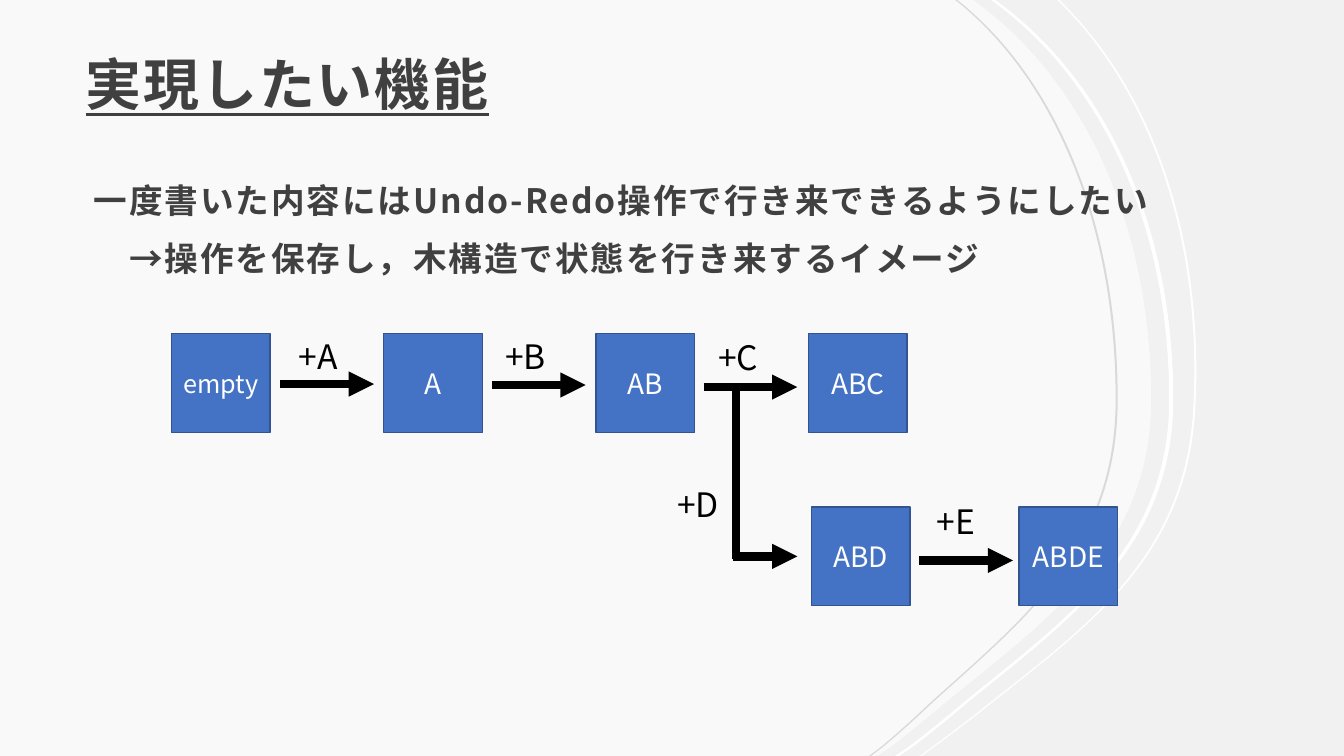
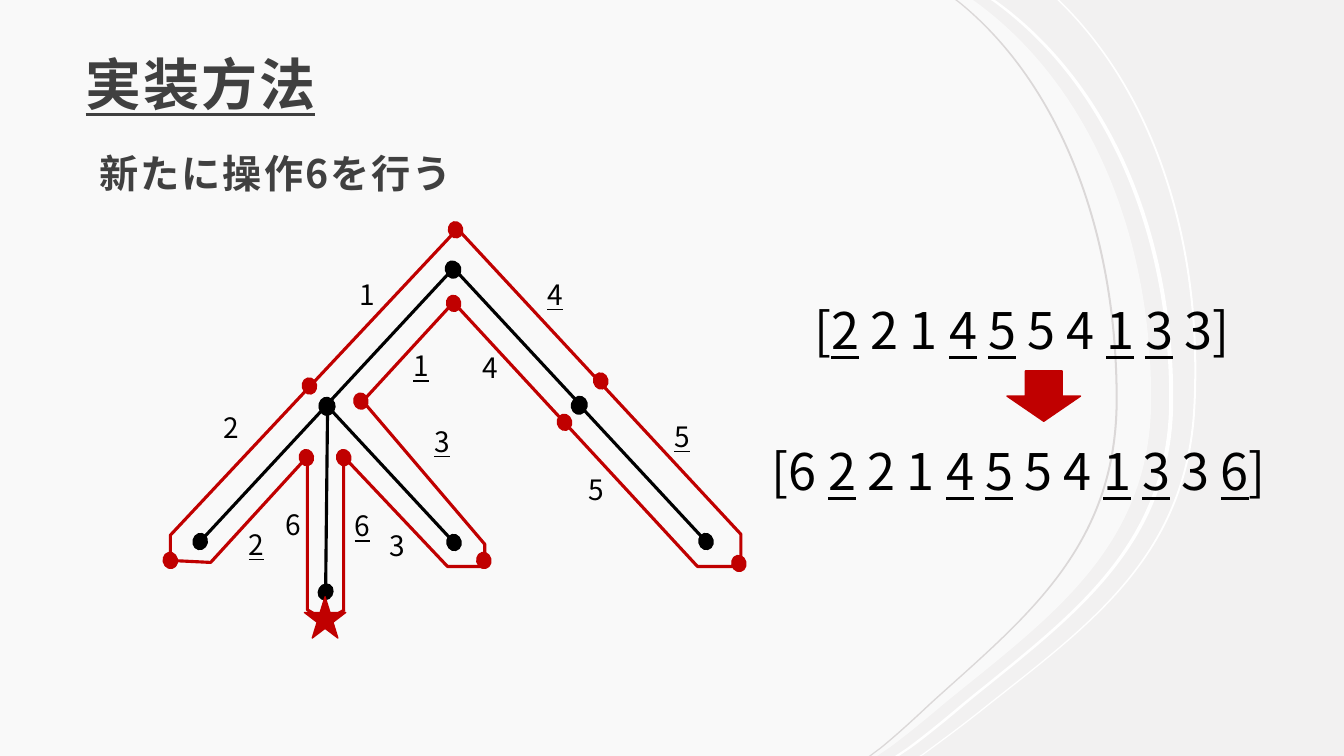
from dataclasses import dataclass
from typing import Optional

import pptx
import pptx.dml.color
import pptx.enum.shapes
import pptx.enum.text
import pptx.oxml.ns
import pptx.presentation
import pptx.shapes.autoshape
import pptx.slide
import pptx.util
from lxml import etree

Inches = pptx.util.Inches
Pt = pptx.util.Pt
qn = pptx.oxml.ns.qn
SHAPE = pptx.enum.shapes.MSO_SHAPE
ANCHOR = pptx.enum.text.MSO_ANCHOR
ALIGN = pptx.enum.text.PP_ALIGN
AUTO_SIZE = pptx.enum.text.MSO_AUTO_SIZE

Point = tuple[float, float]
Box = tuple[float, float, float, float]
Segment = tuple[Point, ...]  # one point is a line, three are a cubic curve

FONT = "Noto Sans CJK JP"
COLORS = {
    "background": "F2F1F1", "white": "FFFFFF", "hairline": "DBD8D8",
    "heading": "404040", "black": "000000", "red": "C00000",
    "state": "4472C4", "state_line": "325491",
}
WIDTH, HEIGHT = 40 / 3, 7.5
STATE_SIZE = 0.98
DOT_WIDTH, DOT_HEIGHT = 0.14, 0.16


@dataclass(frozen=True)
class TextStyle:
    """How the text of one box looks."""
    size: float
    color: str = "black"
    heading: bool = False
    underline: bool = False
    centered: bool = False


@dataclass(frozen=True)
class State:
    """A square holding one state of the document."""
    text: str
    left: float
    top: float
    size: int = 20


@dataclass(frozen=True)
class Step:
    """An arrow to the next state with its label."""
    text: str
    label: Point
    start: Point
    length: float = 0.93


@dataclass(frozen=True)
class Branch:
    """A tree branch that ends in two dots."""
    start: Point
    delta: Point
    tilt: float


# Each edge: a short line, three cubic curves and a closing line.
PANEL_EDGE = [
    (9.65, 0), (9.68, 0.02), (10.79, 0.83), (11.42, 2.29), (11.42, 3.96),
    (11.42, 5.43), (10.41, 6.13), (9.38, 6.97),
    (9.19, 7.13), (9.01, 7.28), (8.82, 7.42), (8.7, HEIGHT)]
OUTER_EDGE = [
    (10.51, 0), (10.54, 0.03), (11.46, 0.94), (11.94, 2.4), (11.86, 4.02),
    (11.79, 5.55), (10.77, 6.23), (9.73, 7.06),
    (9.54, 7.21), (9.35, 7.35), (9.16, 7.49), (9.14, HEIGHT)]

ROW_LEFT, ROW_STEP = 1.7, (8.02 - 1.7) / 3
STATES = [
    State(text, ROW_LEFT + i * ROW_STEP, 3.31, 18 if text == "empty" else 20)
    for i, text in enumerate(("empty", "A", "AB", "ABC"))
] + [State("ABD", 8.05, 5.03), State("ABDE", 10.11, 5.03)]
STEPS = [
    Step("+A", (2.7, 3.28), (2.78, 3.81)),
    Step("+B", (4.76, 3.28), (4.88, 3.82)),
    Step("+C", (6.87, 3.29), (6.98, 3.84)),
    Step("+D", (6.47, 4.75), (7.27, 5.52), 0.64),
    Step("+E", (9.03, 4.92), (9.12, 5.56)),
]

LEFT_DOWN, RIGHT_DOWN = (-1.29, 1.39), (1.29, 1.39)
BRANCHES = [
    Branch((4.5, 2.66), LEFT_DOWN, 12.8),
    Branch((3.25, 4.01), LEFT_DOWN, 12.8),
    Branch((3.24, 4.02), RIGHT_DOWN, 347.2),
    Branch((4.49, 2.65), RIGHT_DOWN, 347.2),
    Branch((5.74, 4.01), RIGHT_DOWN, 347.2),
    Branch((3.25, 4.02), (-0.02, 1.89), 30.4),
]
TALL, SHORT = 0.7, 0.44
BRANCH_LABELS = [
    ("1", 3.47, 2.7, TALL), ("_1_", 4, 3.41, TALL), ("_2_", 2.37, 5.18, TALL),
    ("_3_", 4.21, 4.16, TALL), ("_4_", 5.33, 2.7, TALL), ("_5_", 6.59, 4.11, TALL),
    ("2", 2.12, 4.02, TALL), ("4", 4.69, 3.43, TALL), ("5", 5.74, 4.64, TALL),
    ("3", 3.77, 5.19, SHORT), ("6", 2.73, 4.99, SHORT), ("_6_", 3.42, 5, SHORT),
]
TOUR_STOPS = [
    (3.41, 4.54), (1.69, 5.56), (3.07, 3.83), (4.52, 2.28), (5.96, 3.78),
    (7.33, 5.59), (5.6, 4.19), (4.5, 3.01), (3.58, 3.98), (4.8, 5.56),
    (3.04, 4.54),
]
TOUR_LINES = [
    [(4.53, 2.28), (1.69, 5.31), (1.69, 5.56), (2.09, 5.58), (3.05, 4.53),
     (3.05, 6.05), (3.23, 6.16), (3.42, 6.05)],
    [(3.41, 6.05), (3.41, 4.53), (4.44, 5.62), (4.81, 5.62), (4.81, 5.4),
     (3.6, 3.98), (4.5, 3), (6.92, 5.62), (7.35, 5.62), (7.35, 5.3),
     (4.53, 2.26)],
]
SEQUENCES = [
    ("[6 _2_ 2 1 _4_ _5_ 5 4 _1_ _3_ 3 _6_]", (7.56, 4.32, 5.54, 0.71)),
    ("[_2_ 2 1 _4_ _5_ 5 4 _1_ _3_ 3]", (7.98, 2.92, 4.69, 0.71)),
]


def rgb(name: str) -> pptx.dml.color.RGBColor:
    """Look up a colour by name."""
    return pptx.dml.color.RGBColor.from_string(COLORS[name])


def paint(sp: pptx.shapes.autoshape.Shape, fill: Optional[str],
          line: Optional[str] = None, width: float = 1) -> None:
    """Set fill and outline, and remove the shadow."""
    sp.shadow.inherit = False
    if fill:
        sp.fill.solid()
        sp.fill.fore_color.rgb = rgb(fill)
    else:
        sp.fill.background()
    if line:
        sp.line.color.rgb = rgb(line)
        sp.line.width = Pt(width)
    else:
        sp.line.fill.background()


def write(sp: pptx.shapes.autoshape.Shape, lines: tuple[str, ...],
          style: TextStyle) -> None:
    """Write paragraphs; parts between underscores are underlined."""
    tf = sp.text_frame
    for i, line in enumerate(lines):
        p = tf.add_paragraph() if i else tf.paragraphs[0]
        p.alignment = ALIGN.CENTER if style.centered else ALIGN.LEFT
        if style.heading:
            p.line_spacing = 1.1
        for j, part in enumerate(line.split("_")):
            if not part:
                continue
            r = p.add_run()
            r.text = part
            r.font.size = Pt(style.size)
            r.font.bold = style.heading
            r.font.underline = style.underline or j % 2 == 1
            r.font.color.rgb = rgb(style.color)
            r.font.name = FONT
            props = r._r.get_or_add_rPr()
            etree.SubElement(props, qn("a:ea"), typeface=FONT)
            if style.heading:
                props.set("spc", "140")


def add_text(s: pptx.slide.Slide, box: Box, lines: tuple[str, ...],
             style: TextStyle, wrap: bool = True) -> pptx.shapes.autoshape.Shape:
    """Add a text box; headings keep their size, labels grow."""
    sp = s.shapes.add_textbox(*map(Inches, box))
    tf = sp.text_frame
    tf.word_wrap = wrap
    if style.heading:
        tf.margin_left = tf.margin_top = tf.margin_right = Inches(0.12)
        tf.margin_bottom = Inches(0.1)
    else:
        tf.auto_size = AUTO_SIZE.SHAPE_TO_FIT_TEXT
    write(sp, lines, style)
    return sp


def add_shape(s: pptx.slide.Slide, kind: SHAPE, box: Box, fill: str,
              line: str) -> pptx.shapes.autoshape.Shape:
    """Add a filled preset shape."""
    sp = s.shapes.add_shape(kind, *map(Inches, box))
    paint(sp, fill, line)
    return sp


def add_dot(s: pptx.slide.Slide, center: Point, color: str, tilt: float) -> None:
    """Add a slightly tilted dot around a centre."""
    box = (center[0] - DOT_WIDTH / 2, center[1] - DOT_HEIGHT / 2,
           DOT_WIDTH, DOT_HEIGHT)
    add_shape(s, SHAPE.OVAL, box, color, color).rotation = tilt


def add_line(s: pptx.slide.Slide, start: Point, end: Point, width: float,
             arrow: bool = False) -> None:
    """Add a black straight line, with an arrowhead if asked."""
    c = s.shapes.add_connector(pptx.enum.shapes.MSO_CONNECTOR.STRAIGHT,
                               *map(Inches, start + end))
    c.line.color.rgb = rgb("black")
    c.line.width = Pt(width)
    props = c._element.spPr
    if arrow:
        etree.SubElement(props.find(qn("a:ln")), qn("a:tailEnd"), type="triangle")
    etree.SubElement(props, qn("a:effectLst"))


def add_outline(s: pptx.slide.Slide, segments: list[Segment],
                close: bool) -> pptx.shapes.autoshape.Shape:
    """Add a freeform of lines and cubic curves."""
    first, *rest = [(Inches(x), Inches(y)) for seg in segments for x, y in seg]
    builder = s.shapes.build_freeform(*first)
    builder.add_line_segments(rest, close=close)
    sp = builder.convert_to_shape()
    outline = sp._element.find(".//" + qn("a:path"))
    lines = iter(outline.findall(qn("a:lnTo")))
    for seg in segments[1:]:
        group = [next(lines) for _ in seg]
        if len(group) == 3:
            curve = etree.Element(qn("a:cubicBezTo"))
            group[0].addprevious(curve)
            for line in group:
                curve.append(line[0])
                outline.remove(line)
    # Control points may lie outside the outline: fit the frame to its ends.
    sp.width = Inches(max(seg[-1][0] for seg in segments)) - sp.left
    outline.set("w", str(sp.width))
    return sp


def edge_segments(points: list[Point]) -> list[Segment]:
    """Split the points of an edge into lines and curves."""
    curves = [tuple(points[i:i + 3]) for i in range(2, len(points) - 1, 3)]
    return [(points[0],), (points[1],), *curves, (points[-1],)]


def add_ribbon(s: pptx.slide.Slide, edge: list[Point], thickness: float,
               color: str) -> None:
    """Add a thin band along the left of an edge."""
    inner = [(x - thickness, y) for x, y in reversed(edge)]
    paint(add_outline(s, edge_segments(edge) + edge_segments(inner), True), color)


def add_slide(prs: pptx.presentation.Presentation, title: str) -> pptx.slide.Slide:
    """Add a slide with the curved background and a title."""
    s = prs.slides.add_slide(prs.slide_layouts[6])
    s.background.fill.solid()
    s.background.fill.fore_color.rgb = rgb("background")
    corners = ((0, 0),), ((0, HEIGHT),)
    panel = add_outline(s, [corners[0], *edge_segments(PANEL_EDGE), corners[1]], True)
    paint(panel, "white")
    fill_color = panel._element.spPr.find(qn("a:solidFill"))[0]
    etree.SubElement(fill_color, qn("a:alpha"), val="60000")
    add_ribbon(s, OUTER_EDGE, 0.02, "white")
    add_ribbon(s, [(x + 0.22, y) for x, y in PANEL_EDGE], 0.04, "white")
    add_ribbon(s, [(0.9 * x + 0.81, y) for x, y in PANEL_EDGE], 0.02, "hairline")
    sp = add_text(s, (0.73, -0.21, 7.5, 1.47), (title,),
                  TextStyle(40, "heading", heading=True, underline=True))
    sp.text_frame.vertical_anchor = ANCHOR.BOTTOM
    return s


def add_body(s: pptx.slide.Slide, box: Box, lines: tuple[str, ...], size: int) -> None:
    """Add the statement under the title."""
    sp = add_text(s, box, lines, TextStyle(size, "heading", heading=True))
    for p in sp.text_frame.paragraphs:
        p.space_before = Pt(9.3)


def build_feature_slide(prs: pptx.presentation.Presentation) -> None:
    """Show the states and the steps between them."""
    s = add_slide(prs, "実現したい機能")
    add_body(s, (0.81, 1.63, 11.42, 1.33),
             ("一度書いた内容にはUndo-Redo操作で行き来できるようにしたい",
              "\u3000→操作を保存し\uff0c木構造で状態を行き来するイメージ"), 24)
    for state in STATES:
        sp = add_shape(s, SHAPE.RECTANGLE,
                       (state.left, state.top, STATE_SIZE, STATE_SIZE),
                       "state", "state_line")
        sp.text_frame.vertical_anchor = ANCHOR.MIDDLE
        write(sp, (state.text,), TextStyle(state.size, "white", centered=True))
    add_line(s, (7.3, 3.83), (7.3, 5.55), 6)
    for step in STEPS:
        x, y = step.start
        add_line(s, step.start, (x + step.length, y), 6, arrow=True)
        add_text(s, (*step.label, 0.91, 0.5), (step.text,),
                 TextStyle(24, centered=True))


def build_method_slide(prs: pptx.presentation.Presentation) -> None:
    """Show the tour around the tree and its sequence of operations."""
    s = add_slide(prs, "実装方法")
    add_body(s, (0.87, 1.31, 11.82, 0.89), ("新たに操作6を行う",), 28)
    for text, left, top, height in BRANCH_LABELS:
        add_text(s, (left, top, 0.36, height), (text,), TextStyle(20), wrap=False)
    for branch in BRANCHES:
        (x, y), (dx, dy) = branch.start, branch.delta
        add_line(s, branch.start, (x + dx, y + dy), 2.25)
        add_dot(s, (x, y + 0.02), "black", branch.tilt)
        add_dot(s, (x + 0.98 * dx, y + 0.98 * dy), "black", branch.tilt)
    for stop in TOUR_STOPS:
        add_dot(s, stop, "red", 347.2)
    add_shape(s, SHAPE.STAR_5_POINT, (3.02, 5.92, 0.41, 0.41), "red", "red")
    for points in TOUR_LINES:
        paint(add_outline(s, [(point,) for point in points], False), None, "red", 2.25)
    for text, box in SEQUENCES:
        add_text(s, box, (text,), TextStyle(36), wrap=False)
    add_shape(s, SHAPE.DOWN_ARROW, (9.99, 3.68, 0.73, 0.5), "red", "red")


prs = pptx.Presentation()
prs.slide_width, prs.slide_height = Inches(WIDTH), Inches(HEIGHT)
build_feature_slide(prs)
build_method_slide(prs)
prs.save("out.pptx")
